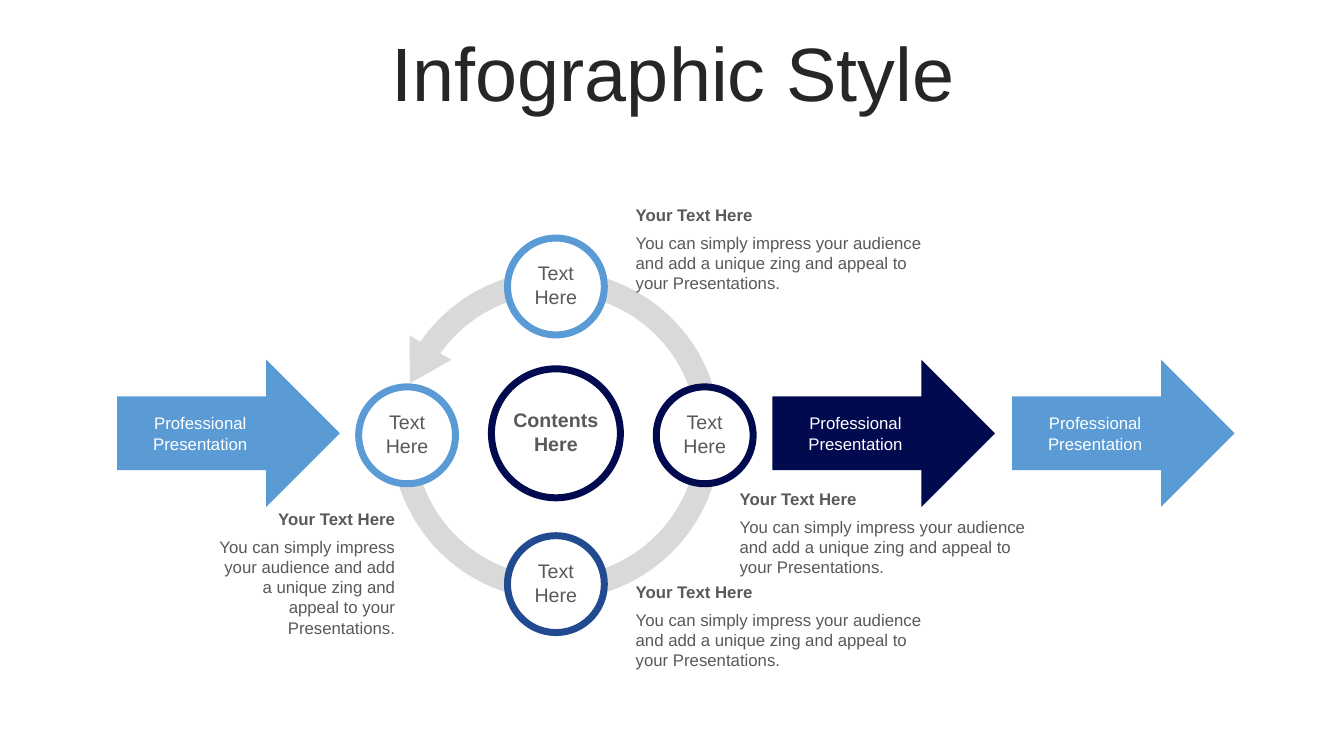
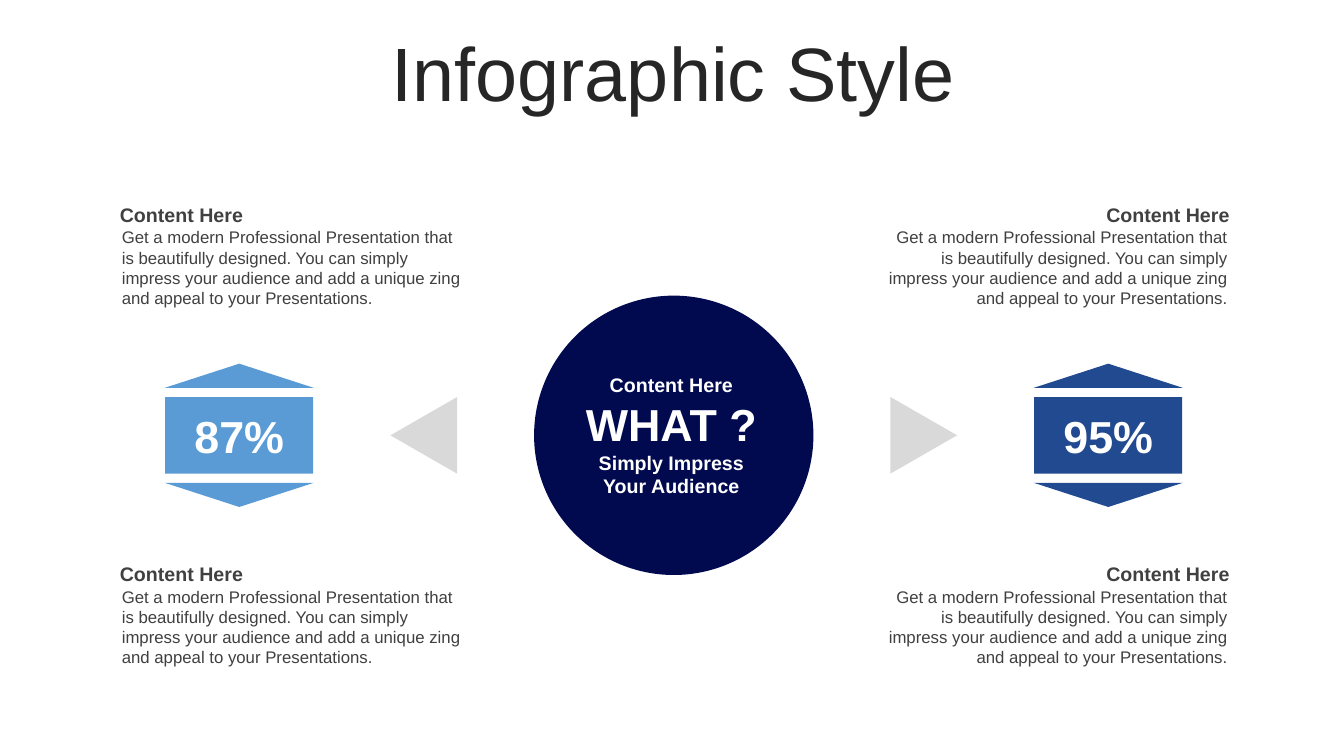
from pptx import Presentation
from pptx.dml.color import RGBColor
from pptx.enum.shapes import MSO_SHAPE as Shape
from pptx.enum.text import MSO_ANCHOR as Anchor, PP_ALIGN as Align
from pptx.util import Cm, Pt

COLORS = {
    "sky": "5A9BD5", "blue": "224A90", "navy": "010A4F", "gray": "D9D9D9",
    "white": "FFFFFF", "title": "262626", "text": "595959", "dark": "404040",
}
FONT = "Arial"
MIDDLE_Y = 10.97


def color(name):
    return RGBColor.from_string(COLORS[name])


class Builder:
    """Holds the deck, its style and the current slide; lengths are in cm."""

    def __init__(self):
        self.deck = Presentation()
        self.deck.slide_width, self.deck.slide_height = Cm(33.87), Cm(19.05)
        self.page = None

    def add_page(self, title):
        self.page = self.deck.slides.add_slide(self.deck.slide_layouts[6])
        box = self.text(title, 0.89, 0.94, 32.16, 2.01, 54, "title",
                        align=Align.CENTER, anchor=Anchor.MIDDLE)
        box.text_frame.paragraphs[0].line_spacing = 0.9

    def shape(self, kind, center_x, center_y, width, height, fill, line=None, turn=0):
        """Preset shape placed by its centre."""
        shape = self.page.shapes.add_shape(
            kind, Cm(center_x - width / 2), Cm(center_y - height / 2), Cm(width), Cm(height))
        shape.shadow.inherit = False
        shape.rotation = turn
        shape.fill.solid()
        shape.fill.fore_color.rgb = color(fill)
        if line:
            shape.line.color.rgb = color(line)
            shape.line.width = Pt(5)
        else:
            shape.line.fill.background()
        return shape

    def text(self, words, left, top, width, height, size, ink, bold=False,
             align=Align.LEFT, anchor=Anchor.TOP):
        """Text box; each line of the words is a paragraph."""
        box = self.page.shapes.add_textbox(Cm(left), Cm(top), Cm(width), Cm(height))
        frame = box.text_frame
        frame.word_wrap = True
        frame.vertical_anchor = anchor
        frame.text = words
        for para in frame.paragraphs:
            para.alignment = align
            for span in para.runs:
                span.font.name, span.font.size, span.font.bold = FONT, Pt(size), bold
                span.font.color.rgb = color(ink)
        return box

    def label(self, words, center_x, center_y, width, height, size, ink, bold=False):
        """Centred text placed by its centre."""
        return self.text(words, center_x - width / 2, center_y - height / 2, width, height,
                         size, ink, bold, Align.CENTER, Anchor.MIDDLE)

    def flow_arrow(self, left, fill):
        self.shape(Shape.RIGHT_ARROW, left + 2.81, 10.92, 5.61, 3.71, fill)
        self.label("Professional\nPresentation", left + 2.1, 10.92, 3.05, 1.27, 12, "white")

    def ring_node(self, words, center_x, center_y, size, line, bold=False):
        self.shape(Shape.OVAL, center_x, center_y, size, size, "white", line)
        self.label(words, center_x, center_y - 0.04, 3.05, 1.45, 14, "text", bold)

    def callout(self, left, top, width, height, align=Align.LEFT):
        self.text("Your Text Here", left, top, width, 0.76, 12, "text", True, align)
        self.text("You can simply impress your audience and add a unique zing "
                  "and appeal to your Presentations.",
                  left, top + 0.7, width, height, 12, "text", align=align)

    def article(self, left, top, align):
        inset = 0.05 if align == Align.LEFT else 0
        self.text("Content Here", left, top, 9.2, 0.86, 14, "dark", True, align, Anchor.MIDDLE)
        self.text("Get a modern Professional Presentation that is beautifully designed. "
                  "You can simply impress your audience and add a unique zing "
                  "and appeal to your Presentations.",
                  left + inset, top + 0.62, 9.15, 2.31, 12, "dark", align=align)

    def badge(self, value, center_x, fill):
        """Percentage plate between two pointed caps."""
        self.shape(Shape.RECTANGLE, center_x, MIDDLE_Y, 3.73, 1.93, fill)
        for offset, turn in ((-1.5, 0), (1.5, 180)):
            self.shape(Shape.ISOSCELES_TRIANGLE, center_x, MIDDLE_Y + offset,
                       3.76, 0.61, fill, turn=turn)
        self.label(value, center_x, MIDDLE_Y, 3.73, 1.63, 32, "white", True)


def cycle_page(builder):
    builder.add_page("Infographic Style")

    # Flow arrows
    for left, fill in ((2.95, "sky"), (19.46, "navy"), (25.5, "sky")):
        builder.flow_arrow(left, fill)

    # Ring with its arrowhead
    ring_x, reach = 14.01, 3.75
    ring = builder.shape(Shape.BLOCK_ARC, ring_x, MIDDLE_Y, 8.3, 8.3, "gray")
    for index, value in enumerate((128.35, 97.08, 0.07)):
        ring.adjustments[index] = value
    builder.shape(Shape.ISOSCELES_TRIANGLE, 10.59, 9.21, 1.22, 1.04, "gray", turn=210)

    # Nodes around the hub
    for step_x, step_y, line in ((-1, 0, "sky"), (0, 1, "blue"), (1, 0, "navy"), (0, -1, "sky")):
        builder.ring_node("Text\nHere", ring_x + step_x * reach, MIDDLE_Y + step_y * reach,
                          2.44, line)
    builder.ring_node("Contents\nHere", ring_x, 10.92, 3.25, "navy", bold=True)

    # Callouts
    for left, top in ((15.77, 5.03), (18.39, 12.2), (15.77, 14.53)):
        builder.callout(left, top, 8.15, 1.8)
    builder.callout(5.16, 12.7, 5.05, 2.82, Align.RIGHT)


def compare_page(builder):
    builder.add_page("Infographic Style")
    center_x = 16.98

    # Central question
    builder.shape(Shape.OVAL, center_x, MIDDLE_Y, 7.04, 7.04, "navy")
    for words, center_y, height, size in (
            ("WHAT ?", 10.67, 1.63, 32),
            ("Content Here", 9.7, 0.86, 14),
            ("Simply Impress\nYour Audience", 11.95, 1.45, 14)):
        builder.label(words, center_x - 0.06, center_y, 6, height, size, "white", True)

    # Mirrored sides
    sides = ((-1, 270, "87%", "sky", 2.77, Align.LEFT),
             (1, 90, "95%", "blue", 22.04, Align.RIGHT))
    for side, turn, value, fill, left, align in sides:
        builder.shape(Shape.ISOSCELES_TRIANGLE, center_x + side * 6.3, MIDDLE_Y,
                      1.93, 1.68, "gray", turn=turn)
        builder.badge(value, center_x + side * 10.95, fill)
        for top in (4.98, 14.03):
            builder.article(left, top, align)


def main():
    builder = Builder()
    cycle_page(builder)
    compare_page(builder)
    builder.deck.save("out.pptx")


if __name__ == "__main__":
    main()
